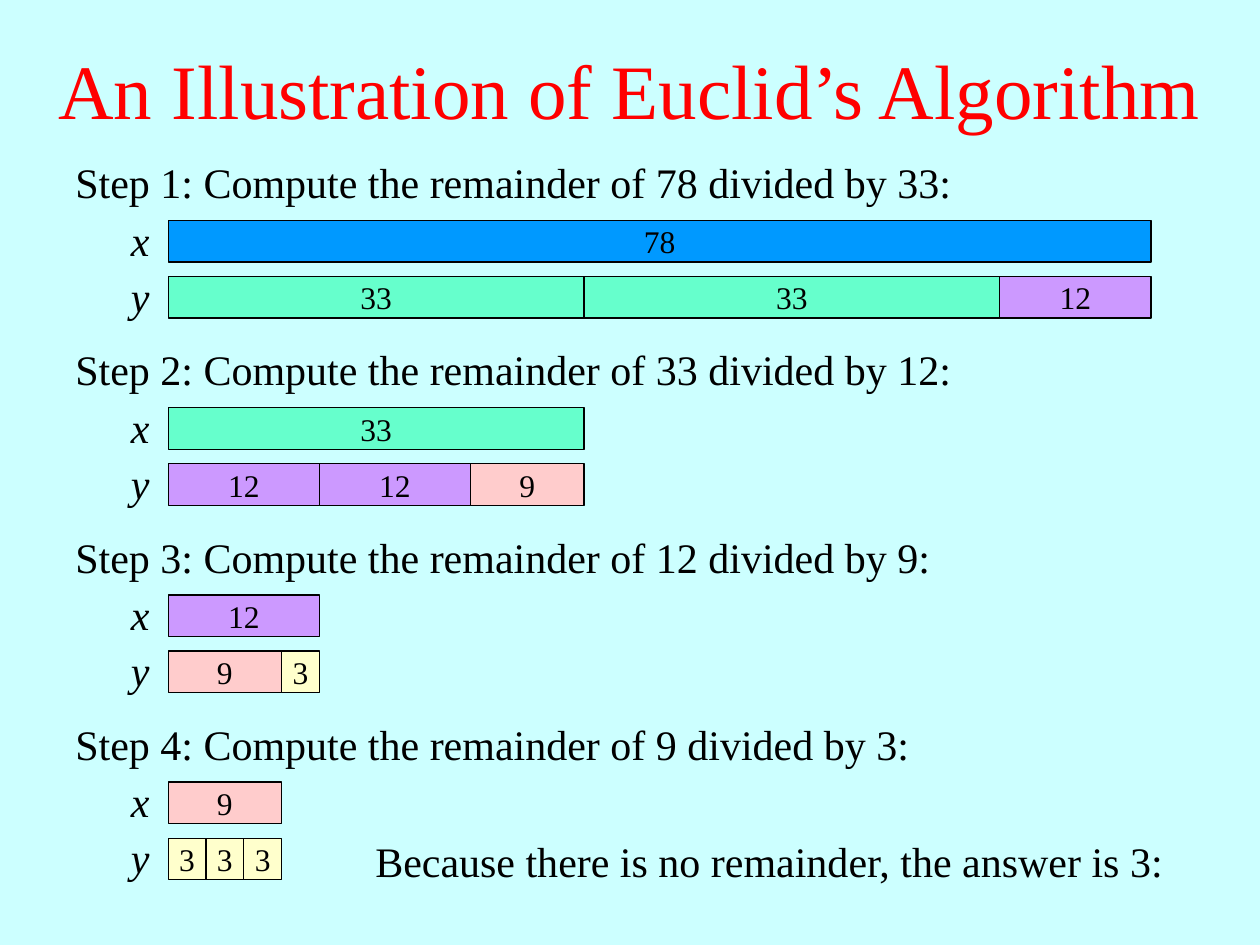
from dataclasses import dataclass, field

from pptx import Presentation
from pptx import util as u
from pptx.dml import color
from pptx.enum import shapes, text


@dataclass(frozen=True)
class Theme:
    font: str = "Times New Roman"
    background: str = "CCFFFF"
    title: str = "FF0000"
    ink: str = "000000"
    title_size: int = 44
    body_size: int = 24
    bar_size: int = 18
    outline: float = 0.75
    bars: dict = field(default_factory=lambda: {
        78: "0099FF", 33: "66FFCC", 12: "CC99FF", 9: "FFCCCC", 3: "FFFFCC"})


class EuclidSlide:
    COLUMNS, ROWS = 100, 75

    def __init__(self, deck, theme):
        self.theme = theme
        self.column = deck.slide_width / self.COLUMNS
        self.row = deck.slide_height / self.ROWS
        self.slide = deck.slides.add_slide(deck.slide_layouts[6])
        self.canvas = self.slide.shapes
        backdrop = self.slide.background.fill
        backdrop.solid()
        backdrop.fore_color.rgb = color.RGBColor.from_string(theme.background)

    def place(self, left, top, width, height):
        return (round(left * self.column), round(top * self.row),
                round(width * self.column), round(height * self.row))

    def label(self, holder, wording, size, ink, align, wrap=True, italic=None):
        frame = holder.text_frame
        frame.word_wrap = wrap
        frame.text = wording
        line = frame.paragraphs[0]
        line.alignment = align
        line.font.name = self.theme.font
        line.font.size = u.Pt(size)
        line.font.italic = italic
        line.font.color.rgb = color.RGBColor.from_string(ink)
        return line

    def title(self, wording, *area):
        heading = self.canvas.add_textbox(*self.place(*area))
        heading.text_frame.vertical_anchor = text.MSO_ANCHOR.MIDDLE
        self.label(heading, wording, self.theme.title_size, self.theme.title,
                   text.PP_ALIGN.CENTER)

    def sentence(self, wording, *area, align=text.PP_ALIGN.JUSTIFY):
        box = self.canvas.add_textbox(*self.place(*area))
        line = self.label(box, wording, self.theme.body_size, self.theme.ink, align)
        line.line_spacing = 0.85
        line.space_after = u.Pt(15)

    def variable(self, name, left, top):
        box = self.canvas.add_textbox(*self.place(left, top, 3.5, 5))
        self.label(box, name, self.theme.body_size, self.theme.ink,
                   text.PP_ALIGN.LEFT, wrap=False, italic=True)

    def bar(self, value, left, top):
        strip = self.canvas.add_shape(shapes.MSO_SHAPE.RECTANGLE,
                                      *self.place(left, top, value, 3.3))
        strip.shadow.inherit = False
        strip.fill.solid()
        strip.fill.fore_color.rgb = color.RGBColor.from_string(self.theme.bars[value])
        strip.line.color.rgb = color.RGBColor.from_string(self.theme.ink)
        strip.line.width = u.Pt(self.theme.outline)
        strip.text_frame.vertical_anchor = text.MSO_ANCHOR.MIDDLE
        self.label(strip, str(value), self.theme.bar_size, self.theme.ink,
                   text.PP_ALIGN.CENTER, wrap=False)

    def measure(self, name, values, top):
        self.variable(name, 9.4, top - 1)
        left = 13.35
        for value in values:
            self.bar(value, left, top)
            left += value

    def step(self, number, dividend, divisor, top):
        quotient, remainder = divmod(dividend, divisor)
        pieces = [divisor] * quotient + [remainder] * (remainder > 0)
        self.canvas = self.slide.shapes.add_group_shape().shapes
        self.sentence(
            f"Step {number}: Compute the remainder of {dividend} divided by {divisor}:",
            5, top, 90, 4.4)
        self.measure("x", [dividend], top + 4.95)
        self.measure("y", pieces, top + 9.4)
        self.canvas = self.slide.shapes
        return remainder


def main():
    deck = Presentation()
    deck.slide_width, deck.slide_height = u.Inches(10), u.Inches(7.5)
    euclid = EuclidSlide(deck, Theme())
    euclid.title("An Illustration of Euclid’s Algorithm", 0, 0.8, 100, 12.5)

    dividend, divisor = 78, 33
    number, top = 1, 12.55
    while divisor:
        remainder = euclid.step(number, dividend, divisor, top)
        dividend, divisor = divisor, remainder
        number, top = number + 1, top + 14.86

    euclid.sentence(f"Because there is no remainder, the answer is {dividend}:",
                    25, 66.4, 68.3, 4.4, align=text.PP_ALIGN.RIGHT)
    deck.save("out.pptx")


if __name__ == "__main__":
    main()
